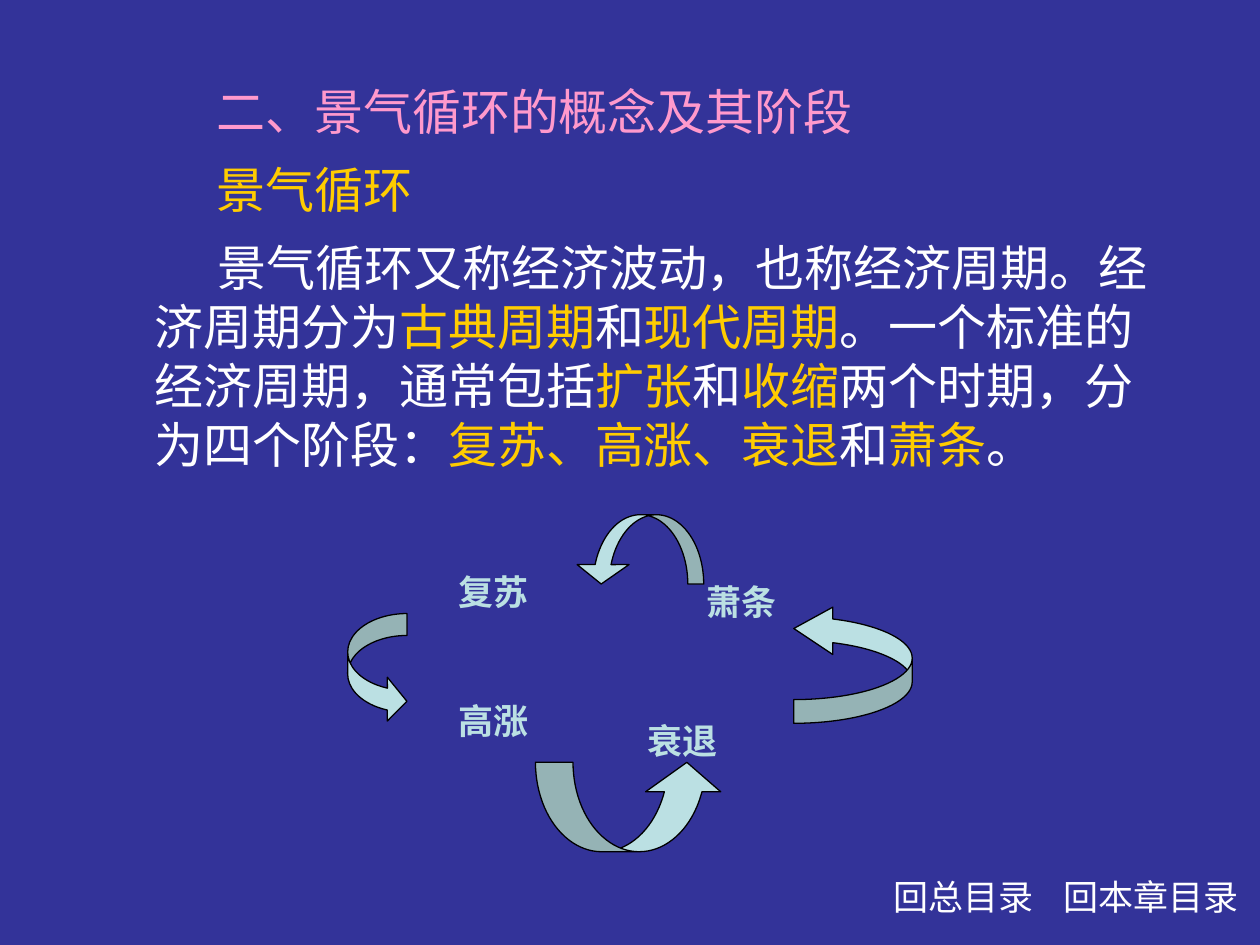
import pptx
import pptx.dml.color
import pptx.enum.shapes
import pptx.enum.text
import pptx.util

Inches = pptx.util.Inches
Pt = pptx.util.Pt
SHAPE = pptx.enum.shapes.MSO_SHAPE
ALIGN = pptx.enum.text.PP_ALIGN

NAVY, PINK, GOLD, WHITE, PALE, BLACK = (
    "333399", "FF99CC", "FFCC00", "FFFFFF", "BBE0E3", "000000")


def paint(color_format, hex_color):
    color_format.rgb = pptx.dml.color.RGBColor.from_string(hex_color)


def apply(target, values):
    """Set each named attribute of target."""
    for name, value in values.items():
        setattr(target, name, value)


class Deck:
    body_font = {"name": "Arial", "size": Pt(28)}
    label_font = {"name": "Times New Roman", "size": Pt(20), "bold": True}
    link_font = {"name": "Times New Roman", "size": Pt(20)}

    def __init__(self, width, height):
        self.presentation = pptx.Presentation()
        apply(self.presentation, {"slide_width": Inches(width),
                                  "slide_height": Inches(height)})

    def add_slide(self, background):
        self.slide = self.presentation.slides.add_slide(
            self.presentation.slide_layouts[6])
        self.slide.background.fill.solid()
        paint(self.slide.background.fill.fore_color, background)

    def text(self, box, paragraphs, font, side_inset=0.1):
        """Add a text box; paragraphs are (runs, margin, indent, format)."""
        frame = self.slide.shapes.add_textbox(*map(Inches, box)).text_frame
        apply(frame, {"word_wrap": True, "margin_left": Inches(side_inset),
                      "margin_right": Inches(side_inset)})
        for index, (runs, margin, indent, layout) in enumerate(paragraphs):
            paragraph = frame.add_paragraph() if index else frame.paragraphs[0]
            properties = paragraph._p.get_or_add_pPr()
            properties.set("marL", str(Inches(margin)))
            properties.set("indent", str(Inches(indent)))
            apply(paragraph, layout)
            for words, color in runs:
                run = paragraph.add_run()
                run.text = words
                apply(run.font, font)
                paint(run.font.color, color)

    def line_of_text(self, box, words, color, font, side_inset=0.1, **layout):
        self.text(box, [([(words, color)], 0, 0, layout)], font, side_inset)

    def arrow(self, preset, box, adjustments, rotation=0):
        arrow = self.slide.shapes.add_shape(preset, *map(Inches, box))
        arrow.rotation = rotation
        arrow.shadow.inherit = False
        for index, value in enumerate(adjustments):
            arrow.adjustments[index] = value
        arrow.fill.solid()
        paint(arrow.fill.fore_color, PALE)
        paint(arrow.line.color, BLACK)
        arrow.line.width = Pt(0.75)


def main():
    deck = Deck(10, 7.5)
    deck.add_slide(NAVY)

    definition = [
        ("景气循环又称经济波动，也称经济周期。经济周期分为", WHITE),
        ("古典周期", GOLD), ("和", WHITE), ("现代周期", GOLD),
        ("。一个标准的经济周期，通常包括", WHITE),
        ("扩张", GOLD), ("和", WHITE), ("收缩", GOLD),
        ("两个时期，分为四个阶段：", WHITE),
        ("复苏、高涨、衰退", GOLD), ("和", WHITE), ("萧条", GOLD), ("。", WHITE),
    ]
    gap = {"space_before": Pt(11)}
    deck.text((0.75, 0.6, 8.5, 6.07), [
        ([("二、景气循环的概念及其阶段", PINK)], 0.87, 0, {}),
        ([("景气循环", GOLD)], 0.87, 0, gap),
        (definition, 0.38, 0.5, gap),
    ], deck.body_font)

    for preset, box, adjustments, rotation in (
        (SHAPE.CURVED_RIGHT_ARROW, (2.76, 4.87, 0.47, 0.87), (0.37, 0.74, 0.33), 0),
        (SHAPE.CURVED_UP_ARROW, (4.25, 6.05, 1.5, 0.71), (0.42, 0.84, 0.33), 0),
        (SHAPE.CURVED_UP_ARROW, (6.3, 4.8, 0.94, 0.94), (0.2, 0.4, 0.33), 270),
        (SHAPE.CURVED_RIGHT_ARROW, (4.8, 3.85, 0.55, 1.02), (0.23, 0.75, 0.28), 90),
    ):
        deck.arrow(preset, box, adjustments, rotation)

    for phase, left, top in (("复苏", 3.54, 4.48), ("高涨", 3.54, 5.5),
                             ("衰退", 5.04, 5.66), ("萧条", 5.51, 4.56)):
        deck.line_of_text((left, top, 1.1, 0.44), phase, PALE, deck.label_font)

    for link, left, width, alignment in (
            ("回总目录", 6.94, 1.42, ALIGN.CENTER),
            ("回本章目录", 8.44, 1.46, ALIGN.LEFT)):
        deck.line_of_text((left, 6.94, width, 0.4), link, WHITE, deck.link_font,
                          side_inset=0, alignment=alignment, line_spacing=0.9)

    deck.presentation.save("out.pptx")


if __name__ == "__main__":
    main()
